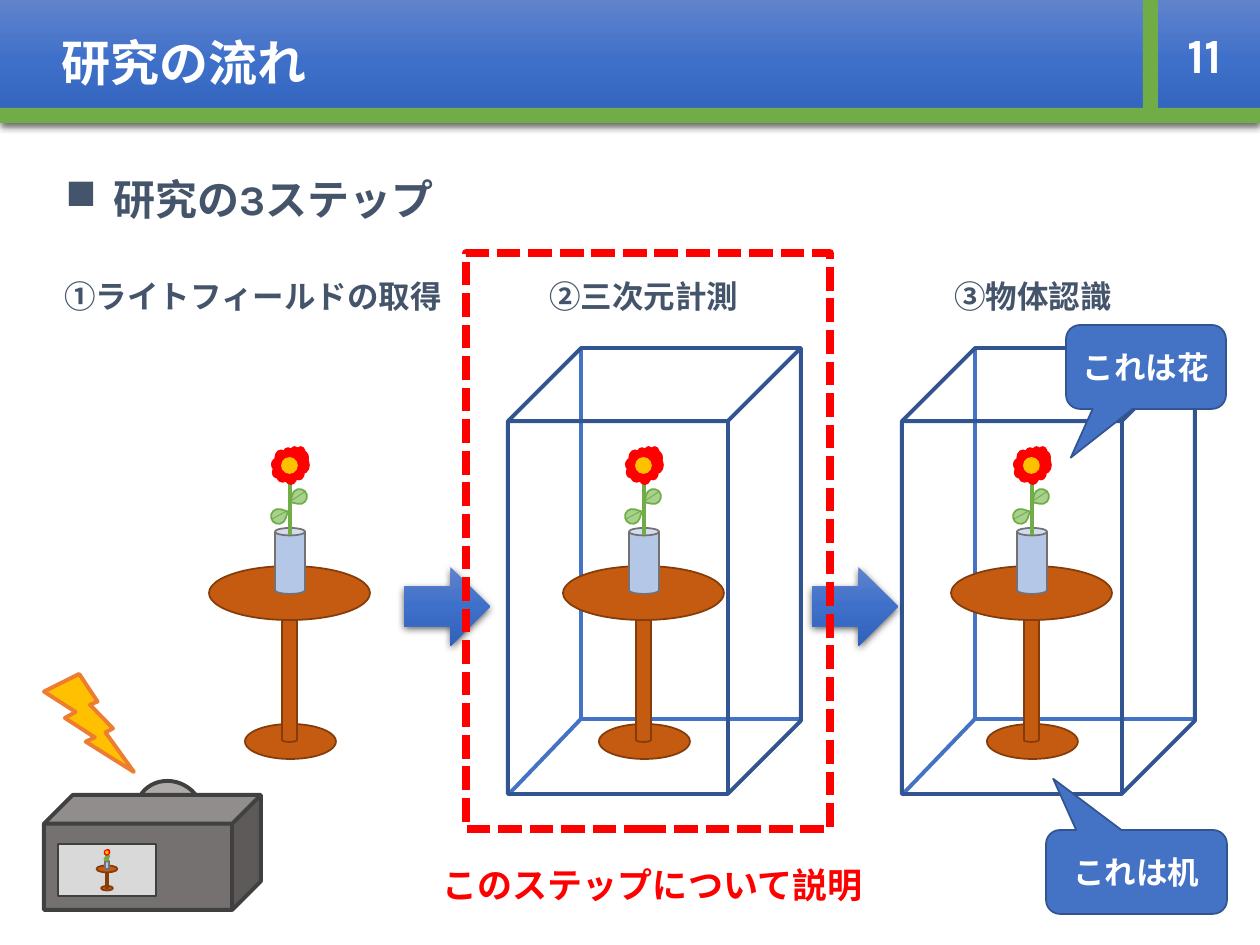
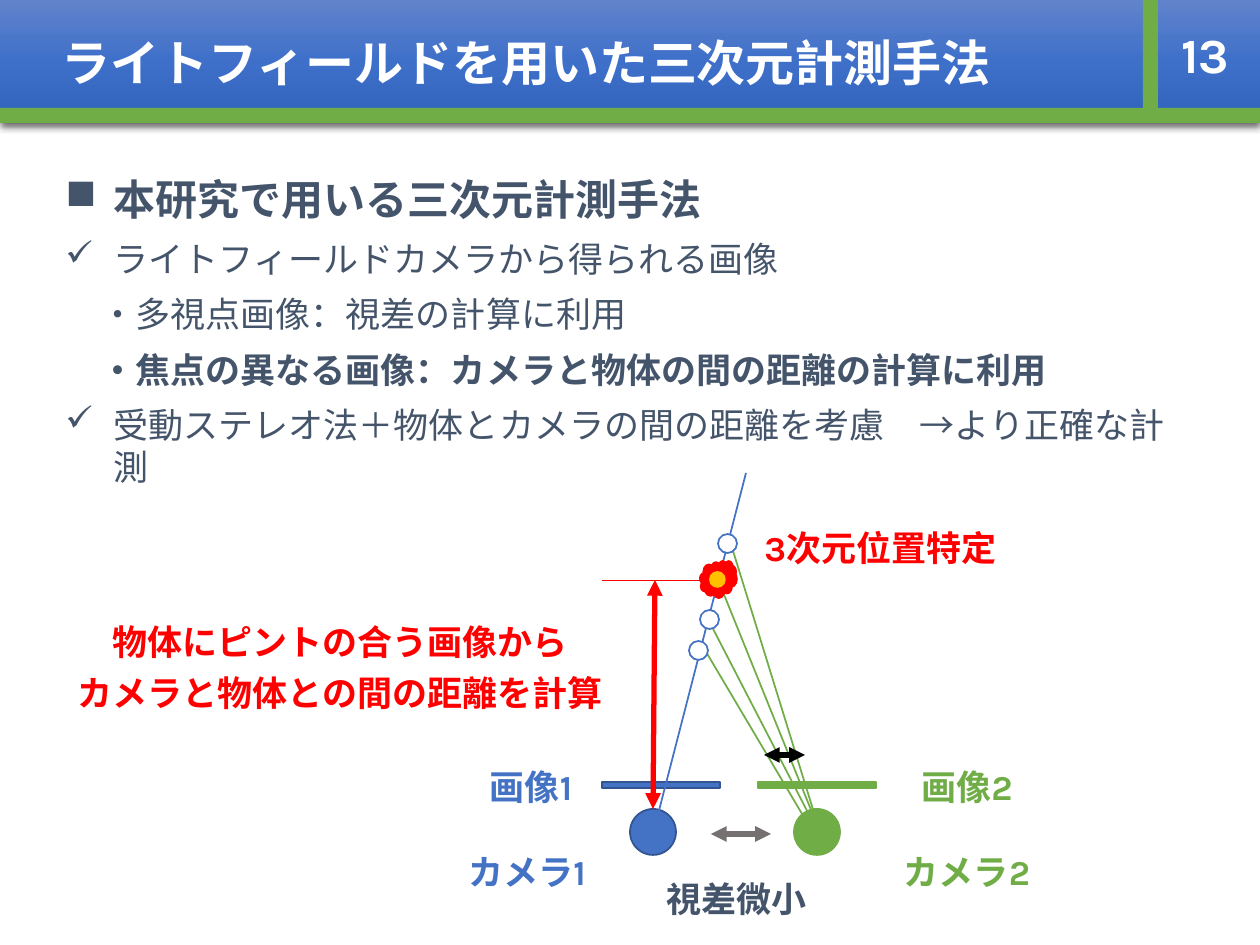
import pptx
import pptx.dml.color
import pptx.enum.dml
import pptx.enum.shapes
import pptx.enum.text
import pptx.oxml
import pptx.oxml.ns
import pptx.util
from lxml import etree

PX = 914400 // 126
FONT = "Karla"
WHITE, BLACK, RED, YELLOW = "FFFFFF", "000000", "FF0000", "FFC000"
BLUE, NAVY, GREEN, LEAF = "4472C4", "325491", "70AD47", "A9D18E"
SLATE, GRAY, DARK = "44546A", "767171", "404040"
WOOD, BARK, GLASS = "C55A11", "843C0B", "B4C7E7"
GRADIENT = [(0, "6183CB"), (50, "3E70CA"), (100, "3062BB")]
SHAPE = pptx.enum.shapes.MSO_SHAPE
ALIGN = pptx.enum.text.PP_ALIGN
ANCHOR = pptx.enum.text.MSO_ANCHOR


def px(*values):
    return [round(v * PX) for v in values]


def rgb(value):
    return pptx.dml.color.RGBColor.from_string(value)


def sub(parent, tag, **attrs):
    el = etree.SubElement(parent, pptx.oxml.ns.qn(tag))
    for name, value in attrs.items():
        el.set(name, str(value))
    return el


def add_par(tf, text, size=20, color=SLATE, bold=True, align=ALIGN.LEFT,
            spacing=0.9, before=7.5, indent=0, bullet=None):
    p = tf.paragraphs[0]
    if p.runs:
        p = tf.add_paragraph()
    p.alignment = align
    p.line_spacing = spacing
    p.space_before = pptx.util.Pt(before)
    pPr = p._p.get_or_add_pPr()
    if indent:
        pPr.set("marL", str(indent * PX))
    if bullet:
        pPr.set("indent", str(-indent * PX))
        sub(pPr, "a:buChar", char=bullet)
    r = p.add_run()
    r.text = text
    r.font.size = pptx.util.Pt(size)
    r.font.bold = bold
    r.font.color.rgb = rgb(color)
    r.font.name = FONT
    sub(r._r.get_or_add_rPr(), "a:ea", typeface=FONT)


class Deck:
    def __init__(self):
        self.prs = pptx.Presentation()
        self.prs.slide_width, self.prs.slide_height = px(1260, 945)
        self.s = None

    def slide(self):
        self.s = self.prs.slides.add_slide(self.prs.slide_layouts[6])

    def shape(self, kind, x, y, w, h, fill=None, line=None, width=1, rot=0):
        sp = self.s.shapes.add_shape(kind, *px(x, y, w, h))
        sp.shadow.inherit = False
        sp.rotation = rot
        if fill:
            sp.fill.solid()
            sp.fill.fore_color.rgb = rgb(fill)
        else:
            sp.fill.background()
        if line:
            sp.line.color.rgb = rgb(line)
            sp.line.width = pptx.util.Pt(width)
        else:
            sp.line.fill.background()
        return sp

    def glossy(self, kind, x, y, w, h):
        sp = self.shape(kind, x, y, w, h)
        sp.fill.gradient()
        sp.fill.gradient_angle = 270
        spPr = sp._element.spPr
        stops = spPr.find(".//" + pptx.oxml.ns.qn("a:gsLst"))
        for gs in list(stops):
            stops.remove(gs)
        for pos, color in GRADIENT:
            sub(sub(stops, "a:gs", pos=pos * 1000), "a:srgbClr", val=color)
        effects = spPr.find(pptx.oxml.ns.qn("a:effectLst"))
        shadow = sub(effects, "a:outerShdw", blurRad=57150, dist=19050,
                     dir=5400000, algn="ctr", rotWithShape=0)
        sub(sub(shadow, "a:srgbClr", val=BLACK), "a:alpha", val=63000)
        return sp

    def line(self, x1, y1, x2, y2, color, width=1, arrows=False):
        kind = pptx.enum.shapes.MSO_CONNECTOR.STRAIGHT
        sp = self.s.shapes.add_connector(kind, *px(x1, y1, x2, y2))
        sp.line.color.rgb = rgb(color)
        sp.line.width = pptx.util.Pt(width)
        if arrows:
            ln = sp.line._get_or_add_ln()
            sub(ln, "a:headEnd", type="triangle")
            sub(ln, "a:tailEnd", type="triangle")
        sub(sp._element.spPr, "a:effectLst")

    def text(self, x, y, w, h, *lines, anchor=ANCHOR.TOP, **fmt):
        tf = self.s.shapes.add_textbox(*px(x, y, w, h)).text_frame
        tf.word_wrap = True
        tf.vertical_anchor = anchor
        for text in lines:
            add_par(tf, text, **fmt)
        return tf

    def label(self, x, y, w, h, *lines, **fmt):
        self.text(x, y, w, h, *lines, align=ALIGN.CENTER, **fmt)

    def header(self, title, number):
        sp = self.glossy(SHAPE.RECTANGLE, 0, 0, 1260, 123)
        tf = sp.text_frame
        tf.word_wrap = True
        tf.margin_left = px(62)[0]
        tf.vertical_anchor = ANCHOR.MIDDLE
        fmt = dict(size=28, color=WHITE, spacing=1.0, before=0)
        add_par(tf, title, **fmt)
        self.shape(SHAPE.RECTANGLE, 0, 108, 1260, 15, GREEN)
        self.label(1150, 0, 110, 108, number, anchor=ANCHOR.MIDDLE, **fmt)
        self.shape(SHAPE.RECTANGLE, 1143, 0, 15, 123, GREEN)

    def body(self, heading):
        return self.text(53, 173, 1153, 320, heading, size=24, indent=48,
                         bullet="■")

    def blossom(self, x, y, k=1):
        self.shape(SHAPE.CLOUD, x - 18 * k, y, 37 * k, 37 * k, RED, RED)
        self.shape(SHAPE.OVAL, x - 8 * k, y + 11 * k, 15 * k, 15 * k,
                   YELLOW, YELLOW)

    def table_with_flower(self, cx, top, k=1):
        def part(kind, x, y, w, h, fill, line, rot=0):
            self.shape(kind, cx + x * k, top + y * k, w * k, h * k, fill, line,
                       rot=rot)

        def stroke(x1, y1, x2, y2, width):
            self.line(cx + x1 * k, top + y1 * k, cx + x2 * k, top + y2 * k,
                      GREEN, width)

        part(SHAPE.OVAL, -45, 277, 91, 35, WOOD, BARK)
        part(SHAPE.CAN, -8, 146, 15, 149, WOOD, BARK)
        part(SHAPE.OVAL, -81, 119, 161, 54, WOOD, BARK)
        part(SHAPE.CAN, -15, 81, 30, 66, GLASS, GRAY)
        stroke(0, 21, 0, 88, 2.25)
        part(SHAPE.TEAR, -19, 62, 15, 15, LEAF, GREEN, 17.4)
        part(SHAPE.TEAR, 2, 42, 15, 15, LEAF, GREEN, 192)
        stroke(-3, 64, -18, 72, 0.5)
        stroke(16, 44, 1, 54, 0.5)
        self.blossom(cx, top, k)

    def wire_box(self, x):
        back, floor = x + 73, 719
        self.line(x + 292, floor, back, floor, BLUE, 2.25)
        self.line(back, 349, back, floor, BLUE, 2.25)
        self.line(back, floor, x, 795, BLUE, 2.25)
        self.shape(SHAPE.CUBE, x, 348, 293, 446, None, NAVY, 2.25)

    def callout(self, x, y, w, h, text, tip):
        sp = self.shape(SHAPE.ROUNDED_RECTANGULAR_CALLOUT, x, y, w, h, BLUE, NAVY)
        sp.adjustments[0], sp.adjustments[1] = tip
        tf = sp.text_frame
        tf.vertical_anchor = ANCHOR.MIDDLE
        add_par(tf, text, size=18, color=WHITE, align=ALIGN.CENTER,
                spacing=1.0, before=0)

    def light_field_camera(self):
        self.shape(SHAPE.LIGHTNING_BOLT, 44, 674, 90, 98, YELLOW, "ED7D31", 2.25)
        self.shape(SHAPE.OVAL, 138, 779, 63, 68, "AFABAB", DARK, 2.25, rot=299.2)
        self.shape(SHAPE.CUBE, 44, 795, 217, 115, GRAY, DARK, 2.25)
        self.shape(SHAPE.RECTANGLE, 58, 844, 98, 52, "D9D9D9", DARK, 1.5)
        self.table_with_flower(107, 850, 0.13)


def research_flow(d):
    d.slide()
    d.header("研究の流れ", "11")
    d.body("研究の3ステップ")
    for x in (508, 902):
        d.wire_box(x)
    for cx in (290, 644, 1032):
        d.table_with_flower(cx, 447)
    for x in (404, 812):
        d.glossy(SHAPE.RIGHT_ARROW, x, 567, 86, 79)
    d.callout(1066, 325, 160, 84, "これは花", (-0.47, 1.08))
    d.callout(1046, 830, 181, 84, "これは机", (-0.46, -1.11))
    sp = d.shape(SHAPE.RECTANGLE, 466, 253, 364, 576, None, RED, 4.5)
    sp.line.dash_style = pptx.enum.dml.MSO_LINE.SQUARE_DOT
    d.label(372, 862, 561, 79, "このステップについて説明", color=RED)
    d.light_field_camera()
    steps = [(44, "①ライトフィールドの取得"), (435, "②三次元計測"), (824, "③物体認識")]
    for x, step in steps:
        d.label(x, 275, 418, 69, step, size=18)


def measurement_method(d):
    d.slide()
    d.header("ライトフィールドを用いた三次元計測手法", "13")
    tf = d.body("本研究で用いる三次元計測手法")
    check = dict(bold=False, spacing=1.0, indent=48, bullet="✓")
    add_par(tf, "ライトフィールドカメラから得られる画像", **check)
    add_par(tf, "・多視点画像：視差の計算に利用", bold=False, spacing=1.0, indent=35)
    add_par(tf, "・焦点の異なる画像：カメラと物体の間の距離の計算に利用",
            spacing=1.0, indent=35)
    add_par(tf, "受動ステレオ法＋物体とカメラの間の距離を考慮　→より正確な計測", **check)

    cameras = [(602, 630, BLUE, NAVY), (758, 794, GREEN, GREEN)]
    for image_x, camera_x, fill, line in cameras:
        d.shape(SHAPE.RECTANGLE, image_x, 782, 118, 6, fill, line)
        d.shape(SHAPE.OVAL, camera_x, 809, 46, 46, fill, line)
    d.line(711, 834, 771, 834, GRAY, 3, arrows=True)
    d.line(746, 473, 653, 834, BLUE)
    rays = [(702, 645, 814, 834), (709, 621, 818, 832),
            (719, 582, 820, 832), (730, 541, 820, 832)]
    for ray in rays:
        d.line(*ray, GREEN)
    for x, y in [(689, 641), (700, 610), (718, 534)]:
        d.shape(SHAPE.OVAL, x, y, 19, 19, WHITE, BLUE)
    d.line(764, 755, 805, 755, BLACK, 3, arrows=True)
    d.line(718, 580, 602, 580, RED, 0.5)
    d.blossom(718, 561)
    d.line(655, 580, 653, 809, RED, 3, arrows=True)

    labels = [(607, 876, "視差微小", SLATE),
              (397, 849, "カメラ1", BLUE), (837, 849, "カメラ2", GREEN),
              (401, 764, "画像1", BLUE), (837, 764, "画像2", GREEN)]
    for x, y, name, color in labels:
        d.label(x, y, 260, 69, name, color=color)
    d.label(42, 619, 596, 204, "物体にピントの合う画像から",
            "カメラと物体との間の距離を計算", color=RED)
    d.label(721, 525, 319, 69, "3次元位置特定", color=RED)


def main():
    d = Deck()
    research_flow(d)
    measurement_method(d)
    d.prs.save("out.pptx")


if __name__ == "__main__":
    main()
